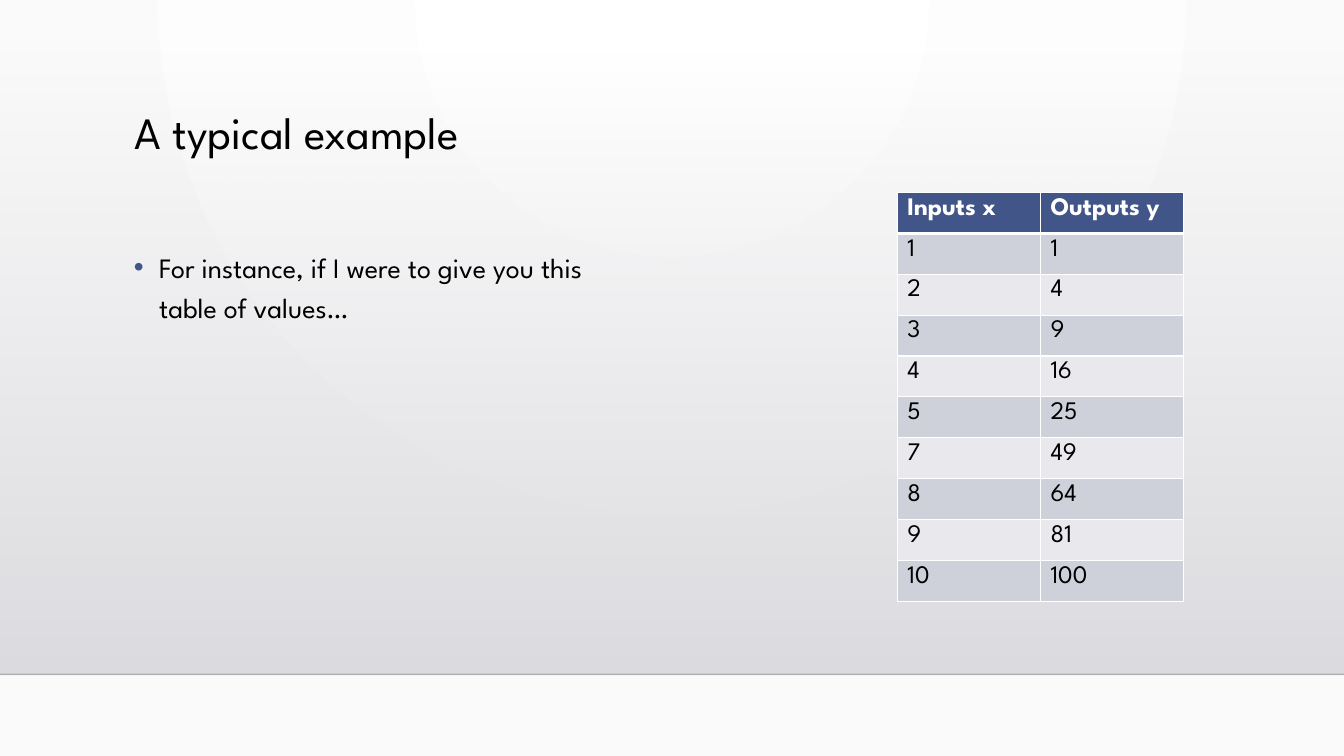
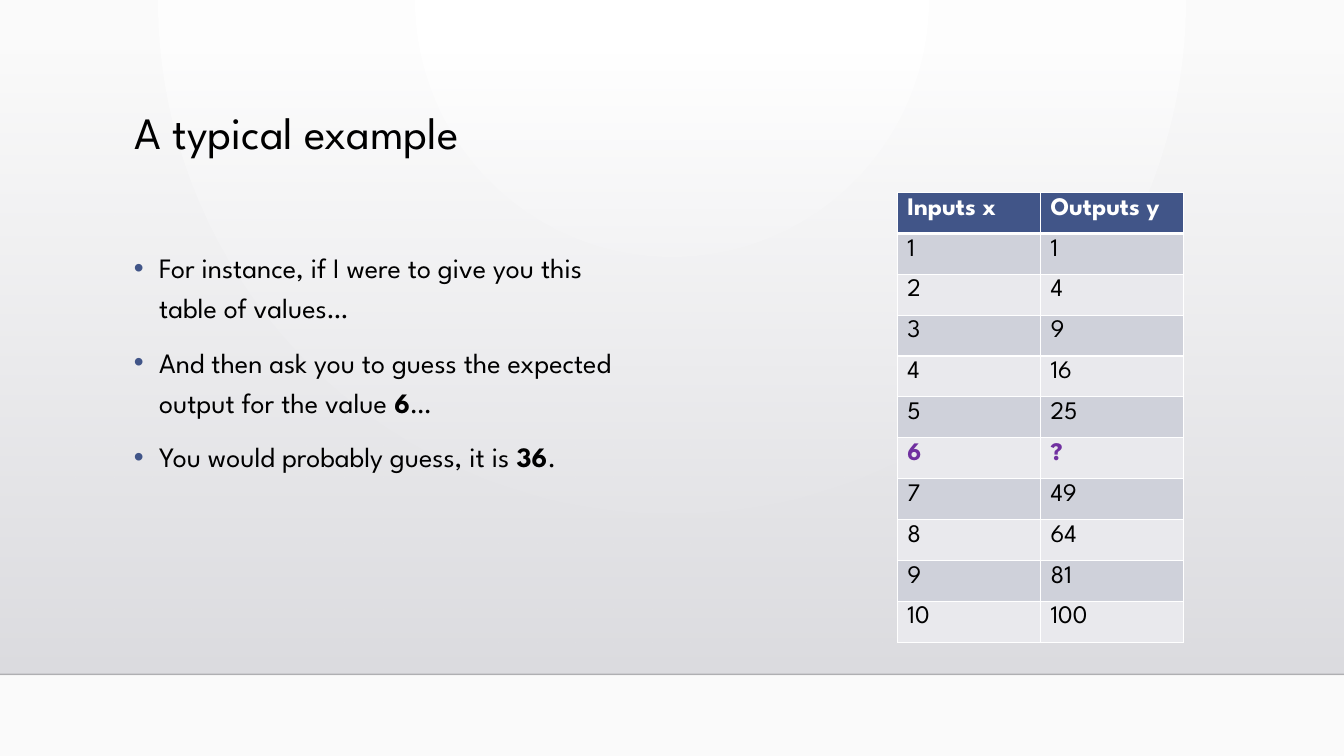
from lxml import etree
from pptx import Presentation
from pptx.dml.color import RGBColor
from pptx.enum.shapes import MSO_CONNECTOR as Connector, MSO_SHAPE as Shape
from pptx.enum.text import MSO_ANCHOR as Anchor
from pptx.oxml import parse_xml
from pptx.oxml.ns import nsdecls, qn
from pptx.util import Inches, Pt

FONT = "League Spartan"
COLORS = {
    "text": "000000",
    "accent": "415588",
    "highlight": "7030A0",
    "white": "FFFFFF",
    "paper": "FAFAFA",
    "band_top": "DCDCE0",
    "band_bottom": "DEDEE2",
    "rule": "000001",
    "row_dark": "CFD1DA",
    "row_light": "E9E9ED",
}
SLIDE_WIDTH = Inches(13.33)
BAND_BOTTOM = Inches(6.69)
ROW_HEIGHT = Pt(29.2)
COLUMN_WIDTH = Inches(1.42)
RADIAL = '<a:path path="circle"><a:fillToRect l="43000" r="43000" b="100000"/></a:path>'
DOWNWARD = '<a:lin ang="5400000" scaled="0"/>'


def rgb(name):
    return RGBColor.from_string(COLORS[name])


def write(paragraph, text, size=20, color="text", bold=False):
    run = paragraph.add_run()
    run.text = text
    font = run.font
    font.name, font.size, font.bold = FONT, Pt(size), bold
    font.color.rgb = rgb(color)


def set_gradient(fill, colors, direction):
    fill.gradient()
    for stop, color, position in zip(fill.gradient_stops, colors, (0, 1)):
        stop.color.rgb = rgb(color)
        stop.position = position
    stops = fill.gradient_stops[0].color._xFill.getparent()
    gradient = stops.getparent()
    for old in gradient.findall(qn("a:lin")):
        gradient.remove(old)
    shade = direction.replace(" ", f" {nsdecls('a')} ", 1)
    stops.addnext(parse_xml(shade))
    return stops


def set_alpha(parent, percent):
    color = next(parent.iter(qn("a:srgbClr")))
    etree.SubElement(color, qn("a:alpha"), val=str(percent * 1000))


def add_bullet(paragraph):
    properties = paragraph._p.get_or_add_pPr()
    properties.set("marL", str(Inches(0.25)))
    properties.set("indent", str(-Inches(0.25)))
    color = etree.SubElement(properties, qn("a:buClr"))
    etree.SubElement(color, qn("a:srgbClr"), val=COLORS["accent"])
    etree.SubElement(properties, qn("a:buFont"), typeface="Arial")
    etree.SubElement(properties, qn("a:buChar"), char="•")


def set_borders(cell, top=1, bottom=1):
    properties = cell._tc.get_or_add_tcPr()
    for side, width in (("L", 1), ("R", 1), ("T", top), ("B", bottom)):
        line = etree.SubElement(properties, qn(f"a:ln{side}"), w=str(Pt(width)))
        fill = etree.SubElement(line, qn("a:solidFill"))
        etree.SubElement(fill, qn("a:srgbClr"), val=COLORS["white"])


class Deck:
    def __init__(self):
        self.presentation = Presentation()
        self.presentation.slide_width = SLIDE_WIDTH
        self.presentation.slide_height = Inches(7.5)
        master = self.presentation.slide_master
        set_gradient(master.background.fill, ("white", "paper"), RADIAL)
        self.slide = None

    def start_slide(self, heading):
        blank = self.presentation.slide_layouts[6]
        self.slide = self.presentation.slides.add_slide(blank)
        self.add_band()
        self.add_rule()
        self.add_title(heading)

    def add_band(self):
        top = Inches(0.51)
        band = self.slide.shapes.add_shape(
            Shape.RECTANGLE, 0, top, SLIDE_WIDTH, BAND_BOTTOM - top)
        band.shadow.inherit = False
        band.line.fill.background()
        stops = set_gradient(band.fill, ("band_top", "band_bottom"), DOWNWARD)
        set_alpha(stops, 0)

    def add_rule(self):
        rule = self.slide.shapes.add_connector(
            Connector.STRAIGHT, 0, BAND_BOTTOM, SLIDE_WIDTH, BAND_BOTTOM)
        rule.line.width = Pt(1)
        rule.line.color.rgb = rgb("rule")
        properties = rule._element.spPr
        set_alpha(properties, 20)
        etree.SubElement(properties, qn("a:effectLst"))

    def add_text_frame(self, left, top, width, height):
        frame = self.slide.shapes.add_textbox(
            Inches(left), Inches(top), Inches(width), Inches(height)).text_frame
        frame.word_wrap = True
        frame.vertical_anchor = Anchor.TOP
        return frame

    def add_title(self, heading):
        title = self.add_text_frame(1.24, 1.05, 10.5, 1.16).paragraphs[0]
        title.line_spacing = 0.9
        write(title, heading, size=32)

    def add_bullets(self, points, height):
        frame = self.add_text_frame(1.23, 2.37, 5.08, height)
        for index, pieces in enumerate(points):
            point = frame.add_paragraph() if index else frame.paragraphs[0]
            add_bullet(point)
            point.line_spacing = 1.2
            if index:
                point.space_before = Pt(10)
            for position, piece in enumerate(pieces):
                write(point, piece, bold=position % 2 == 1)

    def add_values(self, pairs):
        rows = [("Inputs x", "Outputs y"), *pairs]
        values = self.slide.shapes.add_table(
            len(rows), 2, Inches(8.9), Inches(1.91),
            2 * COLUMN_WIDTH, ROW_HEIGHT * len(rows)).table
        for column in values.columns:
            column.width = COLUMN_WIDTH
        for index, pair in enumerate(rows):
            values.rows[index].height = ROW_HEIGHT
            header, unknown = index == 0, "?" in pair
            fill = "accent" if header else "row_dark" if index % 2 else "row_light"
            color = "white" if header else "highlight" if unknown else "text"
            for column, value in enumerate(pair):
                cell = values.cell(index, column)
                set_borders(cell, top=3 if index == 1 else 1, bottom=3 if header else 1)
                cell.fill.solid()
                cell.fill.fore_color.rgb = rgb(fill)
                write(cell.text_frame.paragraphs[0], value, size=18,
                      color=color, bold=header or unknown)


def main():
    heading = "A typical example"
    points = [
        ("For instance, if I were to give you this table of values…",),
        ("And then ask you to guess the expected output for the value ", "6", "…"),
        ("You would probably guess, it is ", "36", "."),
    ]
    squares = [(str(x), "?" if x == 6 else str(x * x)) for x in range(1, 11)]
    known = [pair for pair in squares if "?" not in pair]

    deck = Deck()
    for shown, pairs, height in ((points[:1], known, 3.6), (points, squares, 4.65)):
        deck.start_slide(heading)
        deck.add_bullets(shown, height)
        deck.add_values(pairs)
    deck.presentation.save("out.pptx")


if __name__ == "__main__":
    main()
